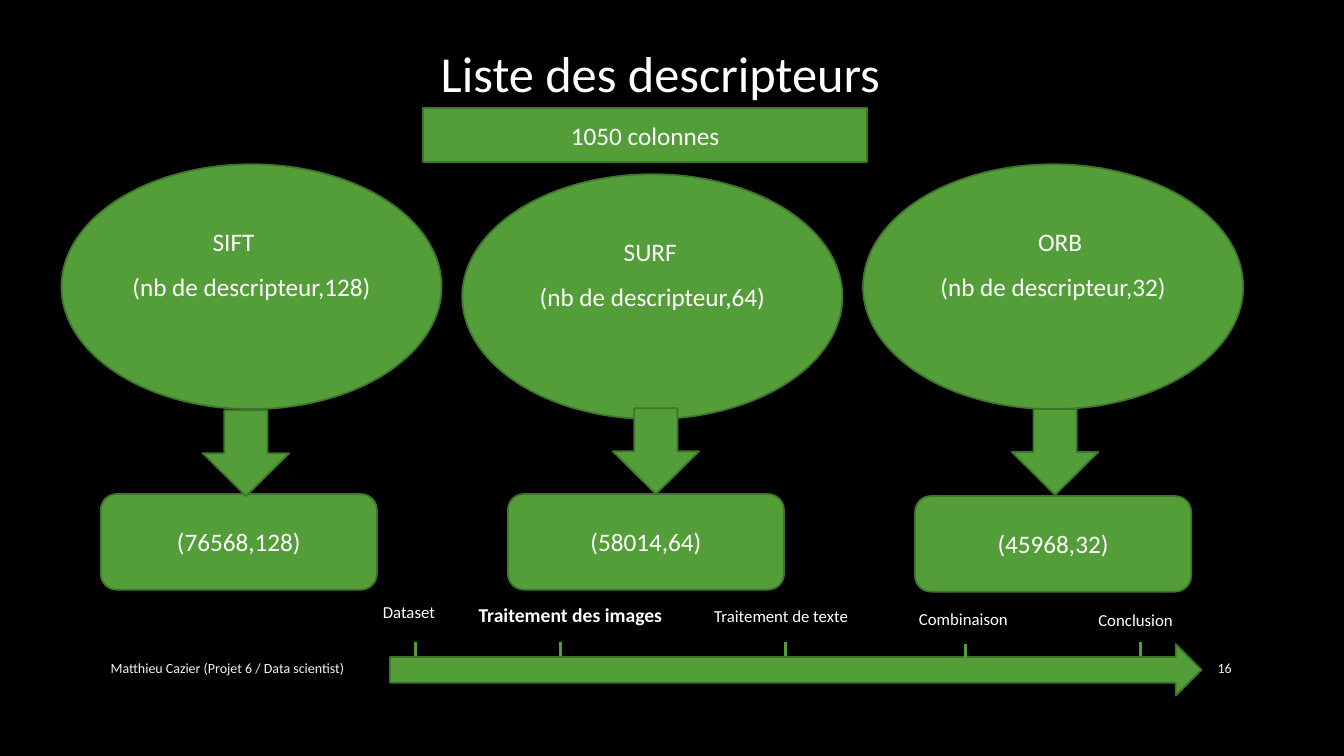
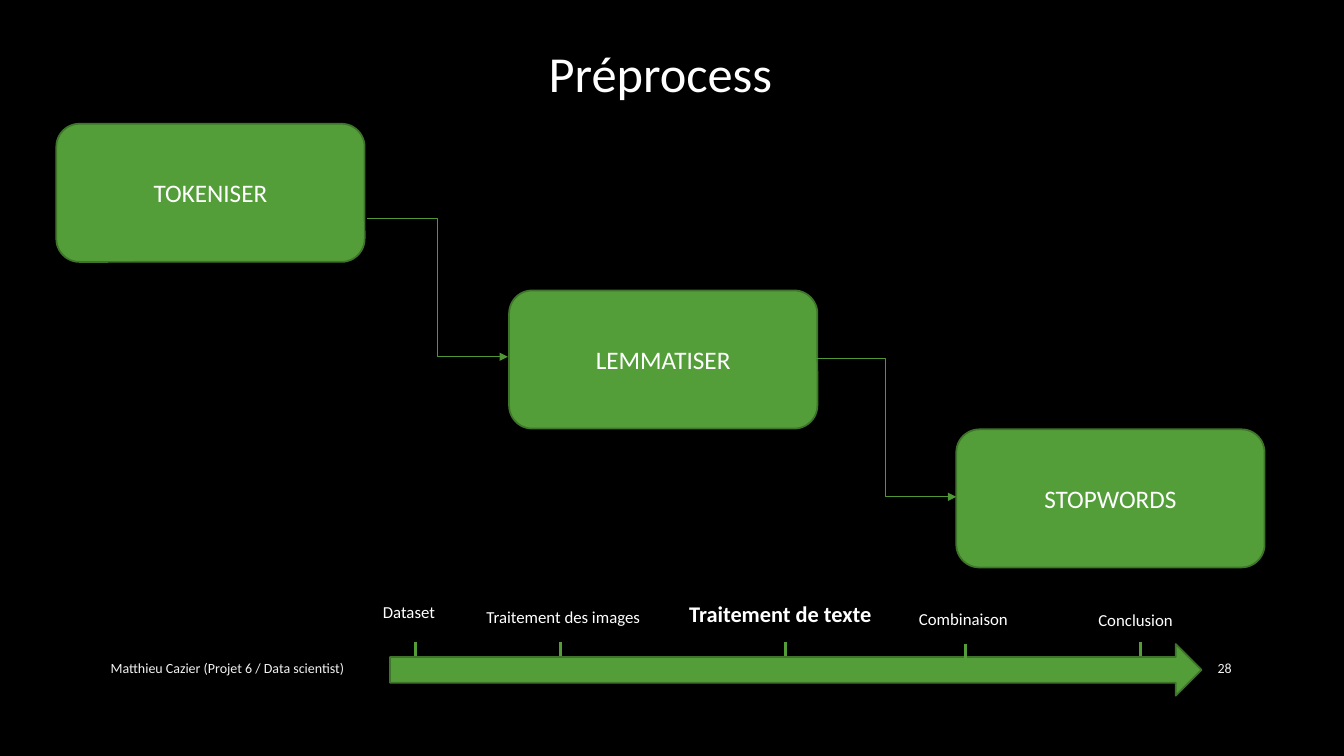
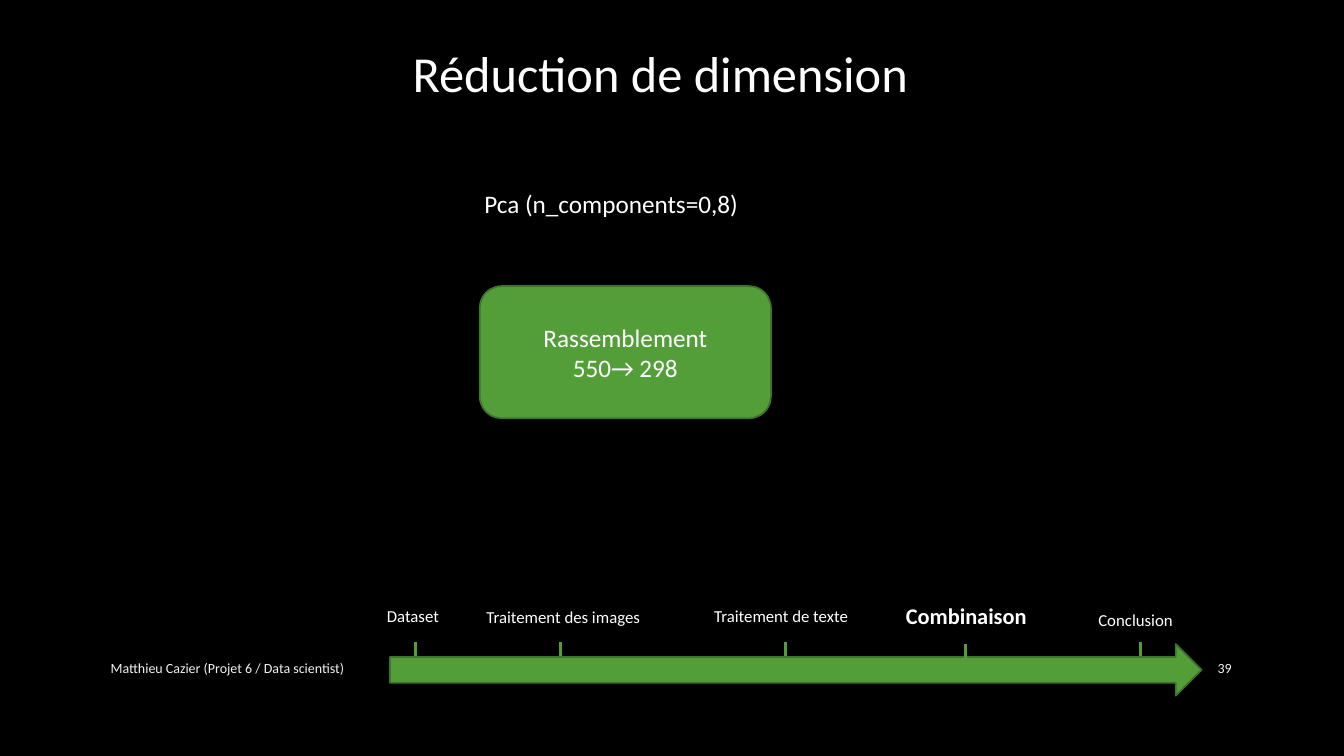
from lxml import etree
from pptx import Presentation
from pptx.dml.color import RGBColor
from pptx.enum.shapes import MSO_CONNECTOR, MSO_SHAPE
from pptx.enum.text import MSO_ANCHOR, PP_ALIGN
from pptx.oxml.ns import qn
from pptx.util import Cm, Pt

RECT, ROUND, OVAL = MSO_SHAPE.RECTANGLE, MSO_SHAPE.ROUNDED_RECTANGLE, MSO_SHAPE.OVAL
RIGHT_ARROW, DOWN_ARROW = MSO_SHAPE.RIGHT_ARROW, MSO_SHAPE.DOWN_ARROW
STRAIGHT, ELBOW = MSO_CONNECTOR.STRAIGHT, MSO_CONNECTOR.ELBOW
LEFT, CENTER, RIGHT = PP_ALIGN.LEFT, PP_ALIGN.CENTER, PP_ALIGN.RIGHT
TOP, MIDDLE = MSO_ANCHOR.TOP, MSO_ANCHOR.MIDDLE

COLORS = {
    "background": "000000",
    "text": "FFFFFF",
    "footer": "F2F2F2",
    "fill": "549E39",
    "outline": "3E752A",
    "link": "509736",
}
FONT = "Calibri"
AUTHOR = "Matthieu Cazier (Projet 6 / Data scientist)"

TICKS = [(10.47, 16.18), (14.12, 16.18), (19.79, 16.18), (24.33, 16.23), (28.75, 16.18)]
STEPS = {
    "Dataset": (9.4, 15.04, 2.51),
    "Traitement des images": (12.01, 15.16, 4.65),
    "Traitement de texte": (17.75, 15.14, 4.5),
    "Combinaison": (22.91, 15.21, 3.07),
    "Conclusion": (27.43, 15.24, 3.07),
}
ACTIVE_STEPS = {
    "Traitement des images": (11.81, 15.06, 5.74, 14),
    "Traitement de texte": (17.12, 15.01, 5.87, 16),
    "Combinaison": (22.58, 15.06, 4.06, 16),
}


def rgb(name):
    return RGBColor.from_string(COLORS[name])


def write(tf, text, size=18, color="text", align=LEFT, anchor=TOP, bold=False):
    for name, value in {"word_wrap": True, "vertical_anchor": anchor}.items():
        setattr(tf, name, value)
    style = {"name": FONT, "size": Pt(size), "bold": bold}
    for i, line in enumerate(text.split("\n")):
        p = tf.add_paragraph() if i else tf.paragraphs[0]
        p.alignment = align
        r = p.add_run()
        r.text = line
        for name, value in style.items():
            setattr(r.font, name, value)
        r.font.color.rgb = rgb(color)


def add_text(s, text, x, y, w, h, **style):
    sp = s.shapes.add_textbox(Cm(x), Cm(y), Cm(w), Cm(h))
    write(sp.text_frame, text, **style)


def add_green_shape(s, kind, x, y, w, h, text=""):
    sp = s.shapes.add_shape(kind, Cm(x), Cm(y), Cm(w), Cm(h))
    sp.shadow.inherit = False
    sp.fill.solid()
    sp.fill.fore_color.rgb = rgb("fill")
    sp.line.color.rgb = rgb("outline")
    sp.line.width = Pt(1.25)
    if text:
        write(sp.text_frame, text, align=CENTER, anchor=MIDDLE)


def add_line(s, kind, x1, y1, x2, y2, color, width, arrow=False):
    cx = s.shapes.add_connector(kind, Cm(x1), Cm(y1), Cm(x2), Cm(y2))
    cx.line.color.rgb = rgb(color)
    cx.line.width = Pt(width)
    props = cx.element.spPr
    if arrow:
        etree.SubElement(props.find(qn("a:ln")), qn("a:tailEnd"), type="triangle")
    etree.SubElement(props, qn("a:effectLst"))


def add_timeline(s, active, moved):
    add_green_shape(s, RIGHT_ARROW, 9.83, 16.23, 20.45, 1.3)
    for x, y in TICKS:
        add_line(s, STRAIGHT, x, y, x, y + 0.36, "fill", 2)
    for step, place in {**STEPS, **moved}.items():
        size = 12
        if step == active:
            *place, size = ACTIVE_STEPS[step]
        x, y, w = place
        add_text(s, step, x, y, w, 0.76, size=size, bold=step == active)


def new_slide(prs, title, number, active, moved={}):
    s = prs.slides.add_slide(prs.slide_layouts[6])
    footer = {"size": 10, "color": "footer", "anchor": MIDDLE}
    add_text(s, AUTHOR, 2.54, 16.33, 18.54, 1.02, **footer)
    add_text(s, str(number), 29.21, 16.33, 2.08, 1.02, align=RIGHT, **footer)
    add_timeline(s, active, moved)
    add_text(s, title, 7.21, 0.94, 18.87, 1.8, size=36, align=CENTER)
    return s


def build_descriptors(prs):
    s = new_slide(prs, "Liste des descripteurs", 16, "Traitement des images")
    add_green_shape(s, RECT, 10.67, 2.72, 11.18, 1.37, "1050 colonnes")
    columns = [
        ("SIFT", 128, 76568, 4.14, 5.11, 5.11, 10.34, 12.45),
        ("SURF", 64, 58014, 4.39, 15.47, 15.44, 10.29, 12.45),
        ("ORB", 32, 45968, 4.14, 25.91, 25.5, 10.31, 12.5),
    ]
    for i, (name, size, rows, oval_y, name_x, arrow_x, arrow_y, box_y) in enumerate(columns):
        add_green_shape(s, OVAL, 1.55 + 10.1 * i, oval_y, 9.58, 6.17,
                        f"(nb de descripteur,{size})")
        add_text(s, name, name_x, oval_y + 1.43, 2.44, 1.07)
        add_green_shape(s, ROUND, 2.54 + 10.26 * i, box_y, 6.96, 2.41, f"({rows},{size})")
        add_green_shape(s, DOWN_ARROW, arrow_x, arrow_y, 2.18, 2.16)


def build_preprocess(prs):
    s = new_slide(prs, "Préprocess", 28, "Traitement de texte")
    for text, x, y in [("TOKENISER", 1.42, 3.12), ("LEMMATISER", 12.83, 7.32),
                       ("STOPWORDS", 24.1, 10.82)]:
        add_green_shape(s, ROUND, x, y, 7.77, 3.48, text)
    for x, y in [(9.25, 5.51), (20.55, 9.04)]:
        add_line(s, ELBOW, x, y, x + 3.55, y + 3.48, "link", 0.75, arrow=True)


def build_reduction(prs):
    s = new_slide(prs, "Réduction de dimension", 39, "Combinaison",
                  {"Dataset": (9.5, 15.14, 2.51)})
    add_green_shape(s, ROUND, 12.09, 7.21, 7.34, 3.33, "Rassemblement\n550→ 298")
    add_text(s, "Pca (n_components=0,8)", 11.96, 4.62, 8.38, 1.02)


def main():
    prs = Presentation()
    prs.slide_width, prs.slide_height = Cm(33.87), Cm(19.05)
    background = prs.slide_master.background.fill
    background.solid()
    background.fore_color.rgb = rgb("background")
    for build in (build_descriptors, build_preprocess, build_reduction):
        build(prs)
    prs.save("out.pptx")


if __name__ == "__main__":
    main()
